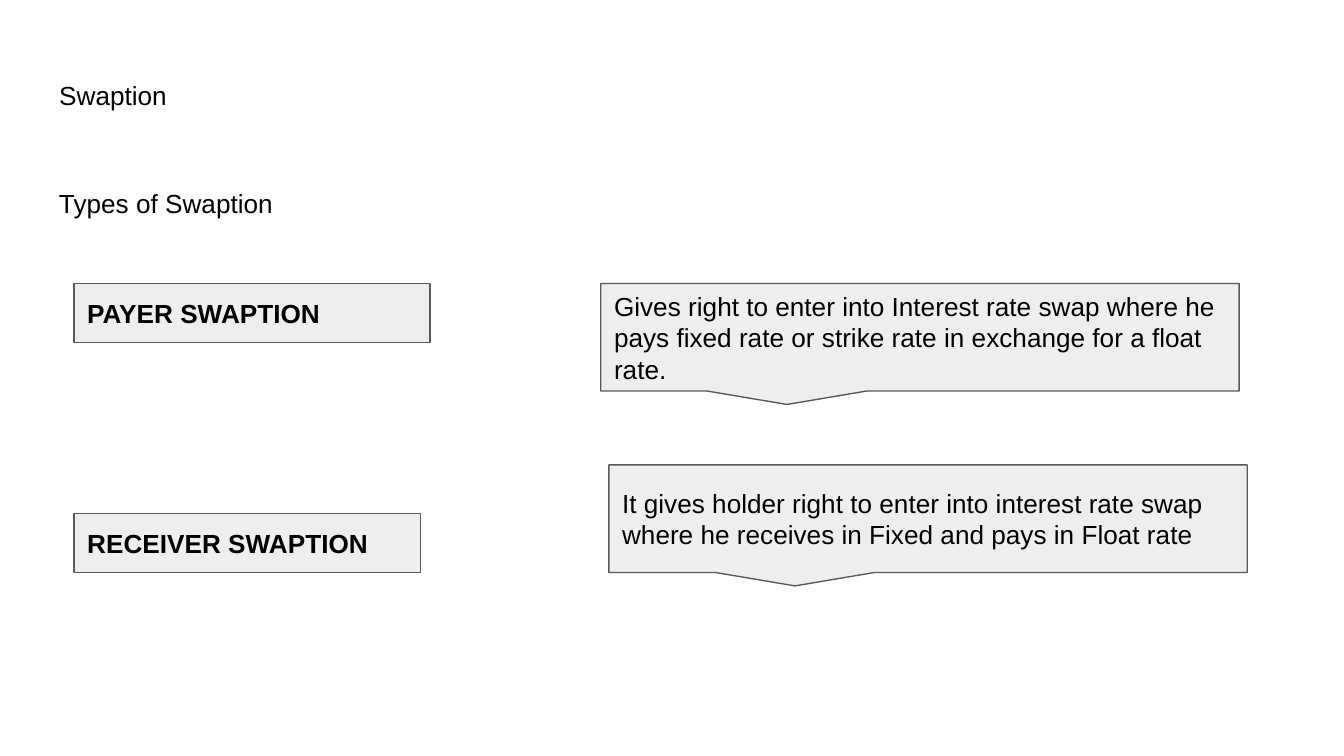
from dataclasses import dataclass

from pptx import Presentation
from pptx.dml.color import RGBColor
from pptx.enum.shapes import MSO_SHAPE as Preset
from pptx.enum.text import MSO_ANCHOR as Anchor, MSO_AUTO_SIZE as AutoSize, PP_ALIGN as Align
from pptx.shapes.autoshape import Shape
from pptx.slide import Slide
from pptx.util import Inches, Pt

BLACK = RGBColor(0x00, 0x00, 0x00)
PANEL_GRAY = RGBColor(0xEE, 0xEE, 0xEE)
OUTLINE_GRAY = RGBColor(0x59, 0x59, 0x59)
MARGIN = Inches(0.34)
CONTENT_WIDTH = Inches(9.32)


@dataclass(frozen=True)
class Panel:
    text: str
    left: float
    top: float
    width: float
    height: float = 0.44
    callout: bool = False


PANELS = [
    Panel("PAYER SWAPTION", 0.55, 2.11, 2.65),
    Panel("RECEIVER SWAPTION", 0.55, 3.82, 2.58),
    Panel(
        "Gives right to enter into Interest rate swap where he pays fixed rate "
        "or strike rate in exchange for a float rate.",
        4.47, 2.11, 4.75, 0.8, callout=True,
    ),
    Panel(
        "It gives holder right to enter into interest rate swap where he receives "
        "in Fixed and pays in Float rate",
        4.53, 3.46, 4.75, 0.8, callout=True,
    ),
]


def write_text(box: Shape, text: str, anchor: Anchor = Anchor.TOP, bold: bool = False) -> None:
    frame = box.text_frame
    frame.text = text
    frame.word_wrap = True
    frame.auto_size = AutoSize.NONE
    frame.vertical_anchor = anchor
    frame.margin_left = frame.margin_right = Inches(0.1)
    frame.margin_top = frame.margin_bottom = Inches(0.1)
    para = frame.paragraphs[0]
    para.alignment = Align.LEFT
    font = para.runs[0].font
    font.name = "Arial"
    font.size = Pt(14)
    font.bold = bold
    font.color.rgb = BLACK


def add_panel(page: Slide, panel: Panel) -> None:
    preset = Preset.RECTANGULAR_CALLOUT if panel.callout else Preset.RECTANGLE
    box = page.shapes.add_shape(
        preset, Inches(panel.left), Inches(panel.top), Inches(panel.width), Inches(panel.height)
    )
    if panel.callout:
        box.adjustments[0] = -5 / 24
        box.adjustments[1] = 5 / 8
    box.shadow.inherit = False
    box.fill.solid()
    box.fill.fore_color.rgb = PANEL_GRAY
    box.line.color.rgb = OUTLINE_GRAY
    box.line.width = Pt(0.75)
    write_text(box, panel.text, Anchor.MIDDLE, bold=not panel.callout)


deck = Presentation()
deck.slide_width = Inches(10)
deck.slide_height = Inches(10 * 9 / 16)
page = deck.slides.add_slide(deck.slide_layouts[5])

title = page.shapes.title
title.left, title.top = MARGIN, Inches(0.49)
title.width, title.height = CONTENT_WIDTH, Inches(0.63)
write_text(title, "Swaption")

body = page.shapes.add_textbox(MARGIN, Inches(1.26), CONTENT_WIDTH, Inches(3.74))
write_text(body, "Types of Swaption")
body_para = body.text_frame.paragraphs[0]
body_para.line_spacing = 1.15
body_para.space_after = Pt(16)

for panel in PANELS:
    add_panel(page, panel)

deck.save("out.pptx")
